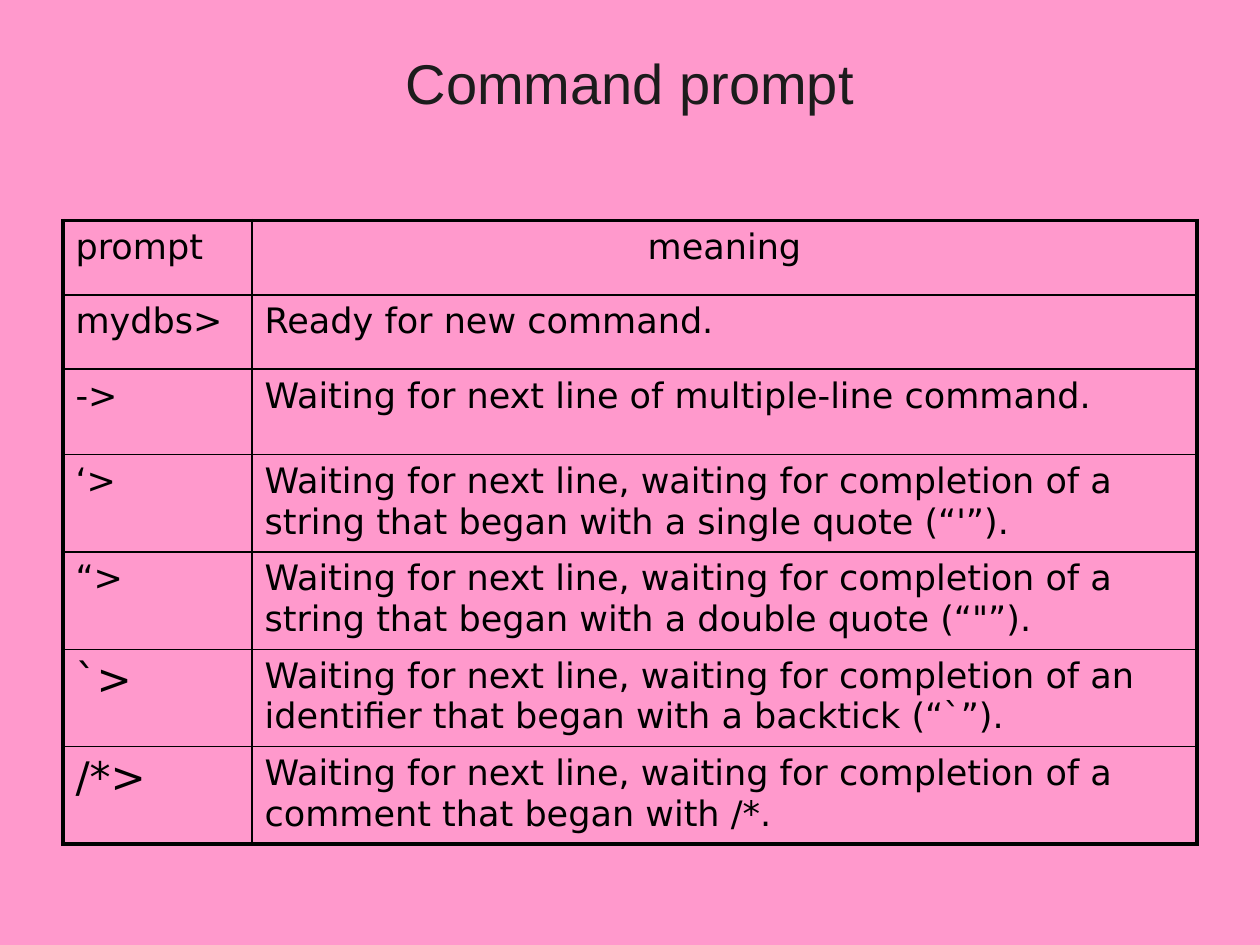
from pptx import Presentation
from pptx.util import Pt
from pptx.dml.color import RGBColor
from pptx.enum.text import MSO_ANCHOR, PP_ALIGN
from lxml import etree

LEFT, CENTER = PP_ALIGN.LEFT, PP_ALIGN.CENTER
MIDDLE = MSO_ANCHOR.MIDDLE
NS = "http://schemas.openxmlformats.org/drawingml/2006/main"
THIN, THICK = 1, 2.25


def put_text(tf, text, size=20, font="DejaVu Sans", color="000000", align=LEFT):
    p = tf.paragraphs[0]
    p.alignment = align
    r = p.add_run()
    r.text = text
    r.font.size = Pt(size)
    r.font.name = font
    r.font.color.rgb = RGBColor.from_string(color)


def set_borders(cell, widths, color="000000"):
    pr = cell._tc.get_or_add_tcPr()
    for i, (side, width) in enumerate(widths.items()):
        ln = etree.Element(f"{{{NS}}}ln{side}", w=str(Pt(width)))
        fill = etree.SubElement(ln, f"{{{NS}}}solidFill")
        etree.SubElement(fill, f"{{{NS}}}srgbClr", val=color)
        pr.insert(i, ln)


prs = Presentation()
prs.slide_width, prs.slide_height = Pt(720), Pt(540)
s = prs.slides.add_slide(prs.slide_layouts[6])
s.background.fill.solid()
s.background.fill.fore_color.rgb = RGBColor.from_string("FF99CC")

# Title
tf = s.shapes.add_textbox(Pt(36), Pt(21.6), Pt(648), Pt(50.4)).text_frame
tf.word_wrap = True
tf.vertical_anchor = MIDDLE
put_text(tf, "Command prompt", size=32, font="Arial", color="1C1C1C", align=CENTER)

# Prompt table: prompt, prompt size, meaning, row height
rows = [
    ("prompt", 20, "meaning", 42.5),
    ("mydbs>", 20, "Ready for new command.", 42.5),
    ("->", 20, "Waiting for next line of multiple-line command.", 48.7),
    ("‘>", 20, "Waiting for next line, waiting for completion of a "
     "string that began with a single quote (“'”).", 55.7),
    ("“>", 20, "Waiting for next line, waiting for completion of a "
     "string that began with a double quote (“\"”).", 55.7),
    ("`>", 24, "Waiting for next line, waiting for completion of an "
     "identifier that began with a backtick (“`”).", 55.7),
    ("/*>", 24, "Waiting for next line, waiting for completion of a "
     "comment that began with /*.", 55.7),
]
height = sum(row[3] for row in rows)
table = s.shapes.add_table(len(rows), 2, Pt(36), Pt(126), Pt(648), Pt(height)).table
table.first_row = table.horz_banding = False
table.columns[0].width, table.columns[1].width = Pt(108), Pt(540)

for i, (prompt, size, meaning, row_height) in enumerate(rows):
    table.rows[i].height = Pt(row_height)
    put_text(table.cell(i, 0).text_frame, prompt, size=size)
    put_text(table.cell(i, 1).text_frame, meaning, align=LEFT if i else CENTER)
    # Thick outer frame, thin inner lines
    for j in range(2):
        cell = table.cell(i, j)
        cell.fill.background()
        set_borders(cell, {
            "L": THIN if j else THICK,
            "R": THICK if j else THIN,
            "T": THIN if i else THICK,
            "B": THICK if i == len(rows) - 1 else THIN,
        })

prs.save("out.pptx")
